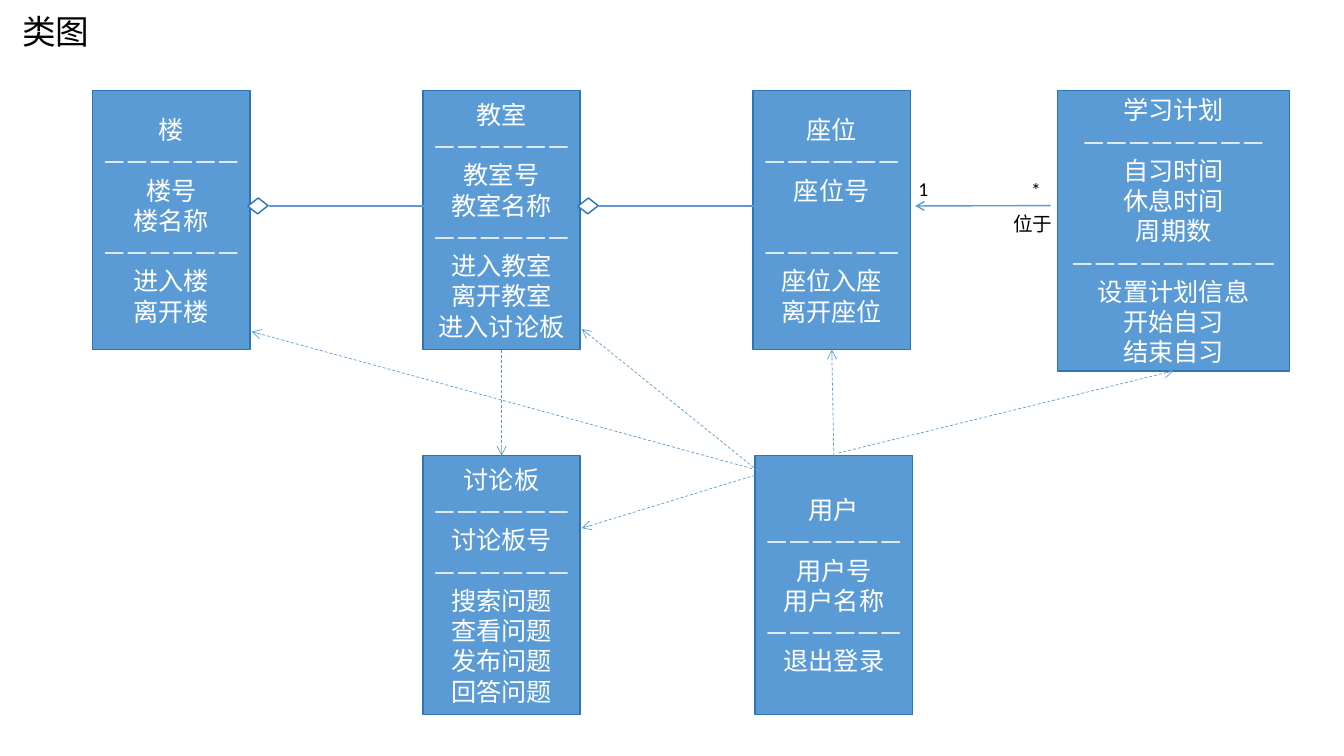
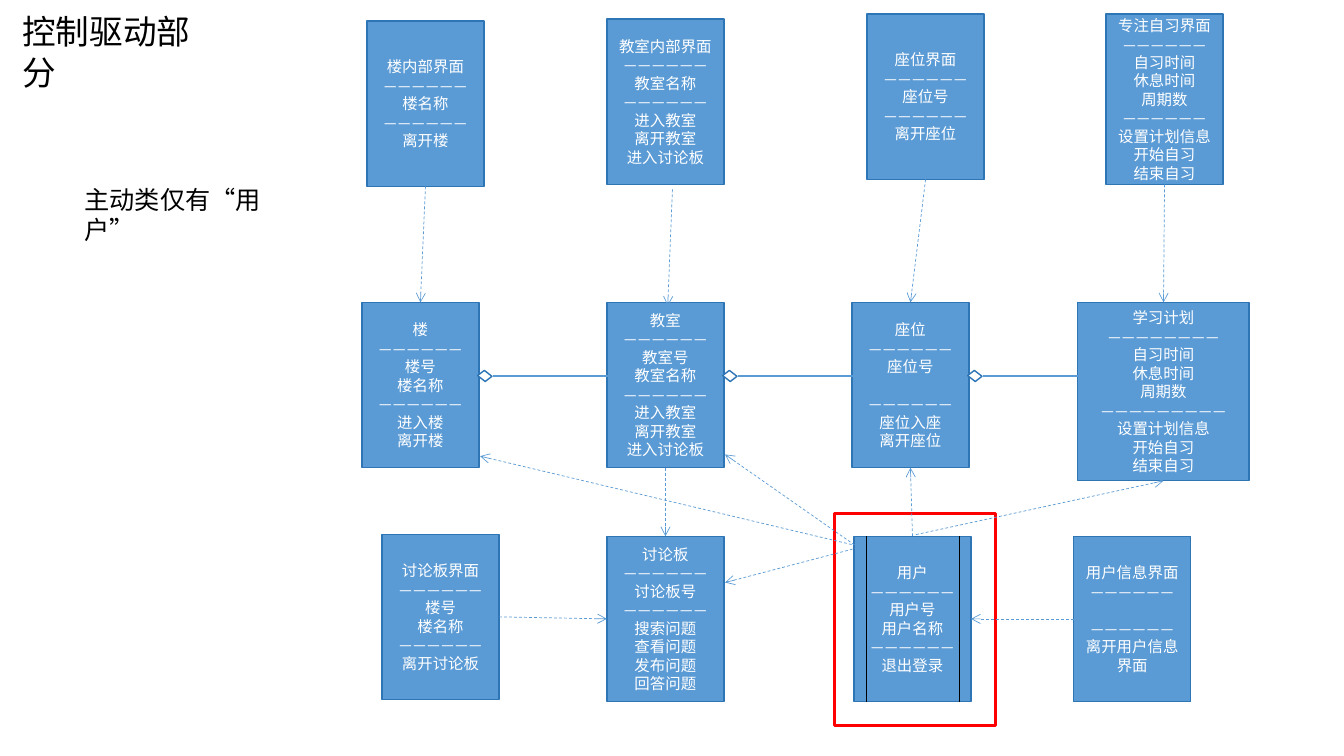
from dataclasses import dataclass

from lxml import etree
from pptx import Presentation
from pptx.dml.color import RGBColor
from pptx.enum.dml import MSO_LINE
from pptx.enum.shapes import MSO_CONNECTOR, MSO_SHAPE
from pptx.enum.text import MSO_ANCHOR, MSO_AUTO_SIZE, PP_ALIGN
from pptx.oxml.ns import qn
from pptx.util import Inches, Pt

STRAIGHT = MSO_CONNECTOR.STRAIGHT
RECTANGLE = MSO_SHAPE.RECTANGLE
PARALLELOGRAM = MSO_SHAPE.PARALLELOGRAM
DASH = MSO_LINE.DASH
CENTER, LEFT = PP_ALIGN.CENTER, PP_ALIGN.LEFT
MIDDLE, TOP = MSO_ANCHOR.MIDDLE, MSO_ANCHOR.TOP
GROW, FIXED = MSO_AUTO_SIZE.SHAPE_TO_FIT_TEXT, MSO_AUTO_SIZE.NONE

FONT = "Calibri"
BLUE, EDGE, WHITE, BLACK, RED = "5B9BD5", "2E75B6", "FFFFFF", "000000", "FF0000"
TITLE_ONLY = 5
LINE_HEIGHT = 1.2
JOIN_ROW = 0.445


@dataclass
class UmlClass:
    """Attributes and operations of a class, with the dashes in its two rules."""
    attributes: list
    operations: list
    rules: tuple = (6, 6)
    gap_lines: int = 0


PLAN_ATTRIBUTES = ["自习时间", "休息时间", "周期数"]
PLAN_OPERATIONS = ["设置计划信息", "开始自习", "结束自习"]
ROOM_OPERATIONS = ["进入教室", "离开教室", "进入讨论板"]

CLASSES = {
    "楼": UmlClass(["楼号", "楼名称"], ["进入楼", "离开楼"]),
    "教室": UmlClass(["教室号", "教室名称"], ROOM_OPERATIONS),
    "座位": UmlClass(["座位号"], ["座位入座", "离开座位"], gap_lines=1),
    "学习计划": UmlClass(PLAN_ATTRIBUTES, PLAN_OPERATIONS, rules=(8, 9)),
    "讨论板": UmlClass(["讨论板号"], ["搜索问题", "查看问题", "发布问题", "回答问题"]),
    "用户": UmlClass(["用户号", "用户名称"], ["退出登录"]),
    "楼内部界面": UmlClass(["楼名称"], ["离开楼"]),
    "教室内部界面": UmlClass(["教室名称"], ROOM_OPERATIONS),
    "座位界面": UmlClass(["座位号"], ["离开座位"]),
    "专注自习界面": UmlClass(PLAN_ATTRIBUTES, PLAN_OPERATIONS),
    "讨论板界面": UmlClass(["楼号", "楼名称"], ["离开讨论板"]),
    "用户信息界面": UmlClass([], ["离开用户信息界面"], gap_lines=1),
}

# Each dependency gives a class and a point in shares of its box, at both ends.
DEPENDENCIES = [
    ("用户", (-0.02, 0.05), "楼", (1.01, 0.93)),
    ("用户", (0.04, 0.07), "教室", (1.01, 0.92)),
    ("用户", (0.03, 0.07), "讨论板", (1.01, 0.28)),
    ("用户", (0.5, 0), "座位", (0.5, 1)),
    ("用户", (0.53, -0.01), "学习计划", (0.5, 1)),
    ("教室", (0.5, 1), "讨论板", (0.5, 0)),
]
SCREEN_DEPENDENCIES = [
    ("楼内部界面", (0.5, 1), "楼", (0.5, 0)),
    ("教室内部界面", (0.56, 1.03), "教室", (0.52, 0.02)),
    ("座位界面", (0.5, 1), "座位", (0.5, 0)),
    ("专注自习界面", (0.5, 1), "学习计划", (0.5, 0)),
    ("讨论板界面", (1, 0.5), "讨论板", (0, 0.5)),
    ("用户信息界面", (0, 0.5), "用户", (1, 0.5)),
]


def rgb(value):
    """Turn a hex string into a colour."""
    return RGBColor.from_string(value)


def format_text(frame, size, color, align):
    """Give every run of a text frame the same look."""
    for paragraph in frame.paragraphs:
        paragraph.alignment = align
        for run in paragraph.runs:
            run.font.name = FONT
            run.font.size = Pt(size)
            run.font.color.rgb = rgb(color)


def add_block(slide, kind, place, fill, edge, weight=1):
    """Add a filled and outlined shape at left, top, width, height."""
    block = slide.shapes.add_shape(kind, *map(Inches, place))
    block.shadow.inherit = False
    block.fill.solid()
    block.fill.fore_color.rgb = rgb(fill)
    block.line.color.rgb = rgb(edge)
    block.line.width = Pt(weight)
    return block


def add_class(slide, name, place, size):
    """Draw a class box with its name, attributes and operations."""
    uml = CLASSES[name]
    first_rule, second_rule = ("—" * count for count in uml.rules)
    frame = add_block(slide, RECTANGLE, place, BLUE, EDGE).text_frame
    frame.vertical_anchor = MIDDLE
    frame.text = "\n".join(
        [name, first_rule, *uml.attributes, second_rule, *uml.operations])
    divider = frame.paragraphs[2 + len(uml.attributes)]
    divider.space_before = Pt(uml.gap_lines * LINE_HEIGHT * size)
    format_text(frame, size, WHITE, CENTER)


def add_label(slide, text, place, size):
    """Add a plain black text box."""
    label = slide.shapes.add_textbox(*map(Inches, place))
    label.text_frame.word_wrap = True
    label.text_frame.auto_size = GROW
    label.text_frame.text = text
    format_text(label.text_frame, size, BLACK, LEFT)


def point_in(place, share):
    """Find the point at a share of a box's width and height."""
    left, top, width, height = place
    return left + share[0] * width, top + share[1] * height


def add_link(slide, start, end, color=BLUE, weight=1, dashed=False, arrow=False):
    """Draw a straight line between two points."""
    link = slide.shapes.add_connector(STRAIGHT, *map(Inches, (*start, *end)))
    link.line.color.rgb = rgb(color)
    link.line.width = Pt(weight)
    if dashed:
        link.line.dash_style = DASH
    if arrow:
        etree.SubElement(link.line._get_or_add_ln(), qn("a:tailEnd"), type="arrow")
    etree.SubElement(link._element.spPr, qn("a:effectLst"))


def add_dependencies(slide, places, dependencies):
    """Draw dashed arrows between class boxes."""
    for source, leave, target, reach in dependencies:
        add_link(slide, point_in(places[source], leave),
                 point_in(places[target], reach),
                 weight=0.5, dashed=True, arrow=True)


def add_aggregation(slide, whole, part):
    """Join two boxes by a line with a diamond at the whole."""
    part_row = JOIN_ROW * whole[3] / part[3]
    add_link(slide, point_in(whole, (1.12, JOIN_ROW)),
             point_in(part, (0.01, part_row)))
    left, middle = point_in(whole, (1, JOIN_ROW))
    width, height = 0.1 * whole[2], 0.05 * whole[3]
    diamond = add_block(slide, PARALLELOGRAM,
                        (left, middle - height / 2, width, height), WHITE, EDGE)
    diamond.rotation = 38


def add_titled_slide(deck, title):
    """Add a slide with its title in the top left corner."""
    slide = deck.slides.add_slide(deck.slide_layouts[TITLE_ONLY])
    heading = slide.shapes.title
    heading.left, heading.top, heading.width, heading.height = map(
        Inches, (0.12, 0.06, 2.2, 0.5))
    heading.text_frame.text = title
    heading.text_frame.vertical_anchor = TOP
    heading.text_frame.auto_size = FIXED
    format_text(heading.text_frame, 24, BLACK, LEFT)
    return slide


def add_model(slide, places, size, chain):
    """Draw class boxes, the aggregation chain and the dependencies."""
    for name, place in places.items():
        add_class(slide, name, place, size)
    for whole, part in zip(chain, chain[1:]):
        add_aggregation(slide, places[whole], places[part])
    add_dependencies(slide, places, DEPENDENCIES)


def build_class_diagram(deck):
    """Build the slide of the class diagram."""
    slide = add_titled_slide(deck, "类图")
    box, upper, lower = (1.56, 2.57), 0.9, 4.52
    building, room, seat = (0.92 + 3.275 * column for column in range(3))
    places = {
        "楼": (building, upper, *box),
        "教室": (room, upper, *box),
        "座位": (seat, upper, *box),
        "学习计划": (10.49, upper, 2.3, 2.78),
        "讨论板": (room, lower, *box),
        "用户": (7.49, lower, *box),
    }
    add_model(slide, places, 18, ["楼", "教室", "座位"])
    add_link(slide, point_in(places["学习计划"], (-0.03, 0.41)),
             point_in(places["座位"], (1.03, JOIN_ROW)), arrow=True)
    add_label(slide, "1", (9.01, 1.71, 0.38, 0.34), 14)
    add_label(slide, "*", (10.13, 1.72, 0.36, 0.34), 14)
    add_label(slide, "位于", (9.95, 2.05, 0.72, 0.34), 14)


def build_control_diagram(deck):
    """Build the slide of the screens that drive the classes."""
    slide = add_titled_slide(deck, "控制驱动部分")
    box, middle, lower = (1.16, 1.64), 3, 5.32
    building, room, seat = (3.59 + 2.43 * column for column in range(3))
    places = {
        "楼": (building, middle, *box),
        "教室": (room, middle, *box),
        "座位": (seat, middle, *box),
        "学习计划": (10.69, middle, 1.7, 1.77),
        "讨论板": (room, lower, *box),
        "用户": (8.47, lower, *box),
        "楼内部界面": (3.64, 0.21, *box),
        "教室内部界面": (room, 0.19, *box),
        "座位界面": (8.6, 0.14, *box),
        "专注自习界面": (10.97, 0.14, 1.16, 1.69),
        "讨论板界面": (3.79, 5.3, *box),
        "用户信息界面": (10.65, lower, *box),
    }
    add_block(slide, RECTANGLE, (8.28, 5.09, 1.59, 2.11), WHITE, RED, 2.25)
    add_model(slide, places, 11, ["楼", "教室", "座位", "学习计划"])
    add_dependencies(slide, places, SCREEN_DEPENDENCIES)
    for side in (0.11, 0.9):
        add_link(slide, point_in(places["用户"], (side, 0)),
                 point_in(places["用户"], (side, 1)), BLACK, 0.5)
    add_label(slide, "主动类仅有“用户”", (0.74, 1.78, 2.33, 0.4), 18)


def main():
    """Build and save the deck."""
    deck = Presentation()
    deck.slide_width, deck.slide_height = Inches(13.33), Inches(7.5)
    build_class_diagram(deck)
    build_control_diagram(deck)
    deck.save("out.pptx")


main()
